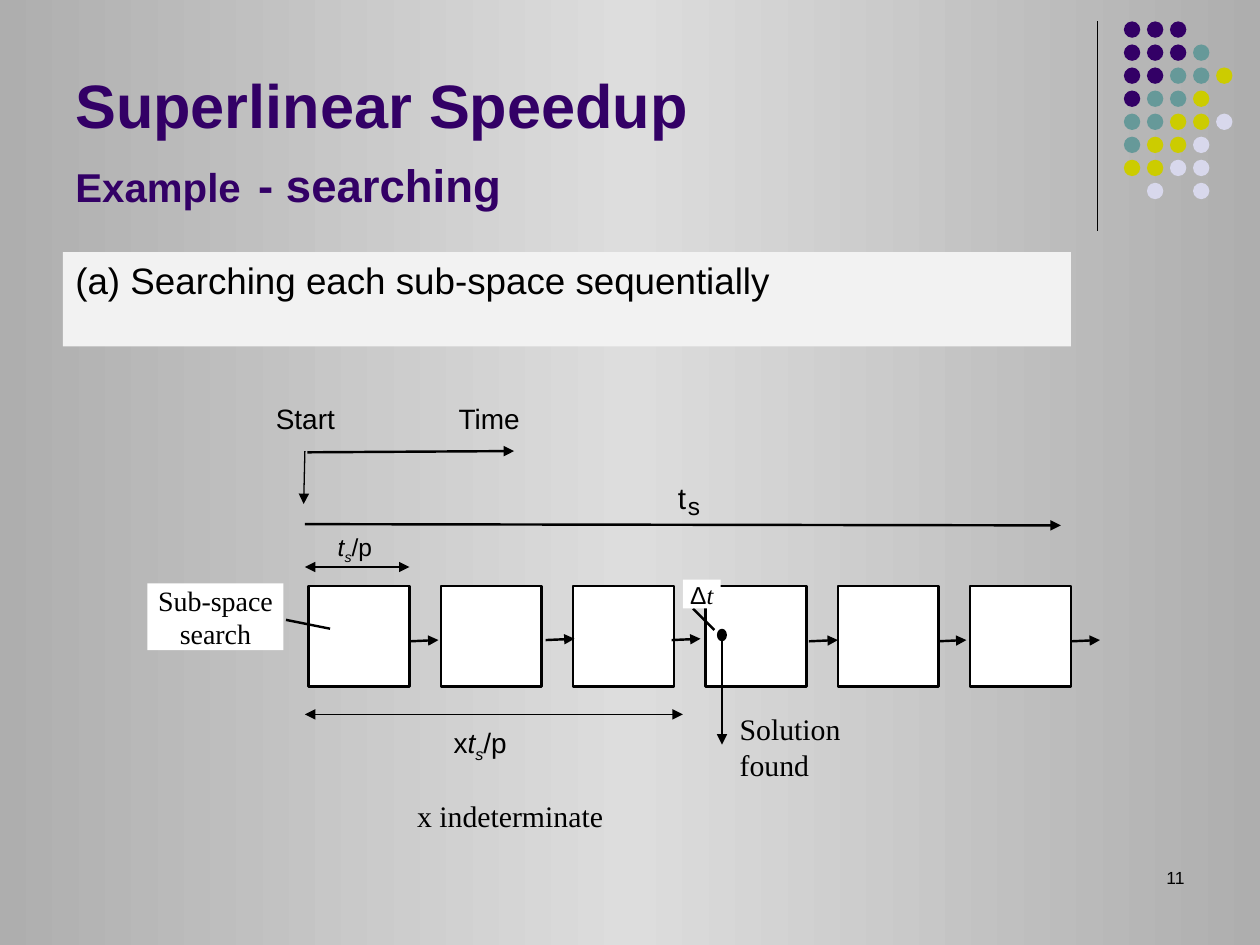
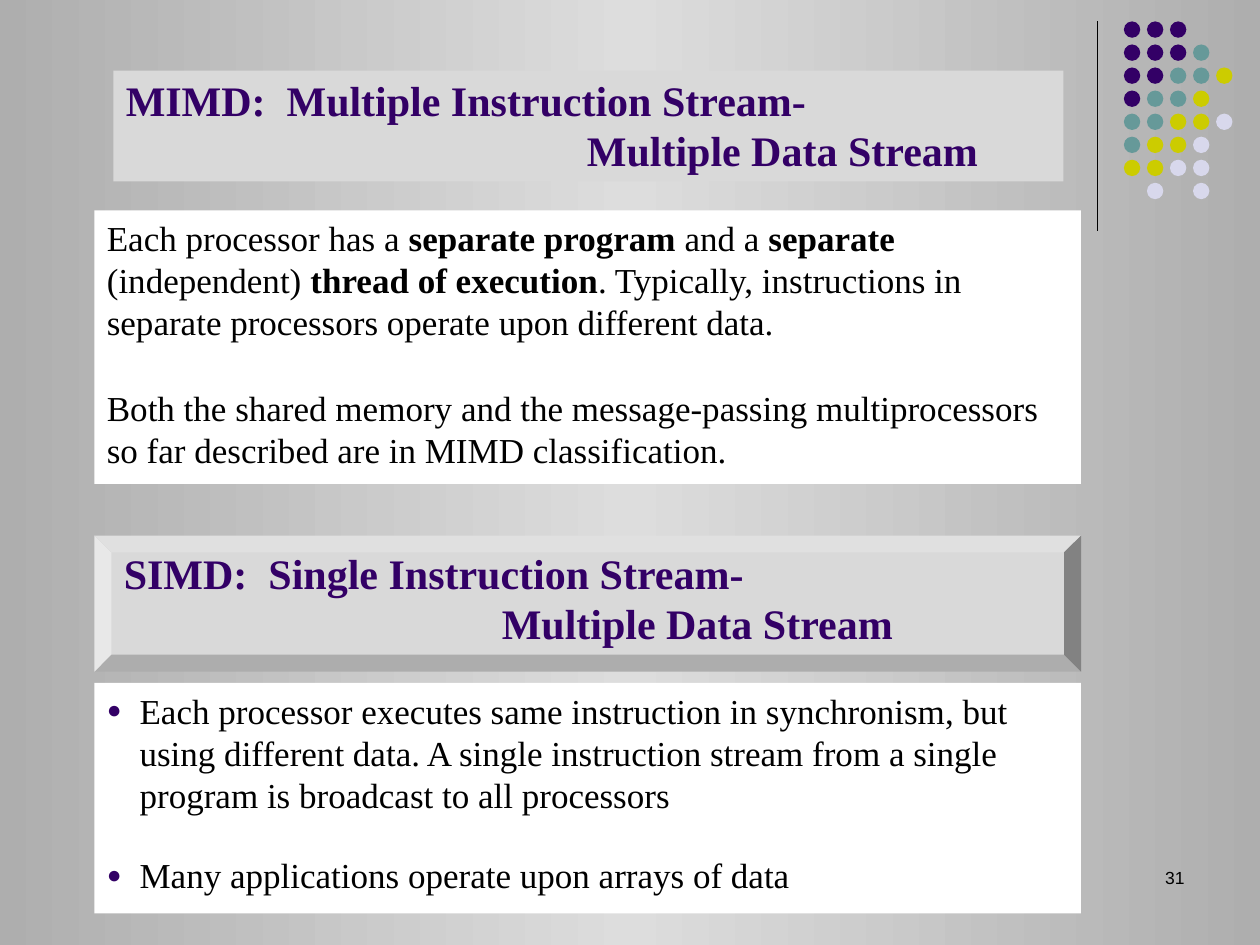
from copy import deepcopy

from lxml import etree
from pptx import Presentation
from pptx.dml.color import RGBColor
from pptx.enum import shapes, text
from pptx.oxml.ns import qn
from pptx.util import Inches, Pt

COLORS = {
    "purple": "330066", "teal": "669999", "olive": "CCCC00", "lilac": "D8D8EC",
    "black": "000000", "white": "FFFFFF", "pale": "F2F2F2", "panel": "D9D9D9",
    "edge": "AEAEAE", "middle": "DDDDDD",
}
SANS, SERIF = "Arial", "Times New Roman"
BOLD, ITALIC = {"bold": True}, {"italic": True}
SUBSCRIPT = {"italic": True, "baseline": "-25000"}

DOT_ROWS = ["PPP", "PPPT", "PPTTY", "PTTY", "TTYYL", "TYYL", "YYLL", " L L"]
DOT_COLORS = {"P": "purple", "T": "teal", "Y": "olive", "L": "lilac"}

# A paragraph is a list of runs; a run is (wording, font settings).
SPEEDUP_TITLE = [
    [("Superlinear Speedup", {"size": 35})],
    [("Example", {"size": 23}), (" ", {"size": 35}), ("- searching", {"size": 26})],
]
SEARCH_CASE = [[("(a) Searching each sub-space sequentially", {})]]

SUBSPACE_COUNT, SUBSPACE_LEFT, SUBSPACE_TOP = 6, 2.45, 4.65
SUBSPACE_SIZE, SUBSPACE_PITCH = 0.8, 1.05
STEP_LENGTH = 0.23
STEP_STARTS = [(3.25, 5.09), (4.33, 5.08), (5.33, 5.08),
               (6.42, 5.09), (7.44, 5.09), (8.5, 5.09)]

# start, end, width in points, arrowheads
TIME_LINES = [
    ((2.42, 4.16), (8.42, 4.17), 1.39, ["tailEnd"]),
    ((2.44, 3.59), (4.08, 3.58), 1.39, ["tailEnd"]),
    ((2.42, 3.58), (2.41, 4.0), 0.75, ["tailEnd"]),
    ((5.73, 5.03), (5.73, 5.91), 1.39, ["tailEnd"]),
    ((2.42, 5.67), (5.42, 5.67), 1, ["headEnd", "tailEnd"]),
    ((2.42, 4.5), (3.25, 4.5), 1, ["headEnd", "tailEnd"]),
    ((2.27, 4.92), (2.62, 4.99), 1.39, []),
    ((5.5, 4.83), (5.67, 5.0), 1.39, []),
]

# place, runs, size, font
LABELS = [
    ((5.38, 3.81, 0.07, 0.28), [("t", {})], 17, SANS),
    ((5.46, 3.9, 0.1, 0.23), [("s", {})], 14, SANS),
    ((2.19, 3.19, 0.47, 0.27), [("Start", {})], 16, SANS),
    ((3.64, 3.19, 0.49, 0.27), [("Time", {})], 16, SANS),
    ((5.87, 5.64, 1.41, 0.28), [("Solution found", {})], 17, SERIF),
    ((3.31, 6.33, 1.48, 0.28), [("x indeterminate", {})], 17, SERIF),
    ((3.6, 5.76, 0.55, 0.31),
     [("x", {}), ("t", ITALIC), ("s", SUBSCRIPT), ("/p", {})], 16, SANS),
    ((2.68, 4.22, 0.38, 0.27),
     [("t", ITALIC), ("s", SUBSCRIPT), ("/p", {})], 14, SANS),
]
TAGS = [
    ((1.17, 4.63, 1.08, 0.53), [[("Sub-space", {})], [("search", {})]], 16, SERIF),
    ((5.42, 4.6, 0.3, 0.23), [[("Δ", {"name": SANS}), ("t", ITALIC)]], 14, SERIF),
]

# place, preset, heading lines, indent of the second line
STREAM_HEADINGS = [
    ((0.9, 0.56, 7.54, 0.88), "RECTANGLE",
     ["MIMD:  Multiple Instruction Stream-", "Multiple Data Stream"], 3.66),
    ((0.75, 4.25, 7.83, 1.08), "BEVEL",
     ["SIMD:  Single Instruction Stream-", "Multiple Data Stream"], 3.0),
]
# place, paragraphs, space before the second paragraph, bulleted
STREAM_BODIES = [
    ((0.75, 1.67, 7.83, 2.17), [
        [("Each processor has a ", {}), ("separate program ", BOLD), ("and a ", {}),
         ("separate", BOLD), (" (independent) ", {}), ("thread of execution", BOLD),
         (". Typically, instructions in separate processors operate upon "
          "different data.", {})],
        [("Both the shared memory and the message-passing multiprocessors so far "
          "described are in MIMD classification.", {})],
    ], 25, False),
    ((0.75, 5.42, 7.83, 1.83), [
        [("Each processor executes same instruction in synchronism, but using "
          "different data. A single instruction stream from a single program is "
          "broadcast to all processors", {})],
        [("Many applications operate upon arrays of data", {})],
    ], 22, True),
]


def rgb(name):
    return RGBColor.from_string(COLORS[name])


def add_xml(parent, tag, **attributes):
    return etree.SubElement(parent, qn(tag), **attributes)


def add_block(page, place, fill, preset="RECTANGLE", line_width=None):
    block = page.shapes.add_shape(getattr(shapes.MSO_SHAPE, preset), *map(Inches, place))
    block.shadow.inherit = False
    block.fill.solid()
    block.fill.fore_color.rgb = rgb(fill)
    if line_width:
        block.line.color.rgb = rgb("black")
        block.line.width = Pt(line_width)
    else:
        block.line.fill.background()
    return block


def add_line(page, start, end, width, heads=()):
    line = page.shapes.add_connector(
        shapes.MSO_CONNECTOR.STRAIGHT, *map(Inches, (*start, *end)))
    line.line.color.rgb = rgb("black")
    line.line.width = Pt(width)
    for head in heads:
        add_xml(line.line._get_or_add_ln(), f"a:{head}", type="triangle")
    add_xml(line._element.spPr, "a:effectLst")


def write(box, paragraphs, size, font=SANS, color="black", bold=False,
          align="LEFT", anchor="TOP", wrap=True, inset=True):
    """Fill a box with paragraphs of runs and return the paragraphs."""
    frame = box.text_frame
    frame.word_wrap = wrap
    frame.vertical_anchor = getattr(text.MSO_ANCHOR, anchor)
    if not inset:
        frame.margin_left = frame.margin_right = 0
        frame.margin_top = frame.margin_bottom = 0
    for number, runs in enumerate(paragraphs):
        para = frame.add_paragraph() if number else frame.paragraphs[0]
        para.alignment = getattr(text.PP_ALIGN, align)
        para.font.name, para.font.size, para.font.bold = font, Pt(size), bold
        para.font.color.rgb = rgb(color)
        for wording, settings in runs:
            span = para.add_run()
            span.text = wording
            for key, value in settings.items():
                if key == "baseline":
                    span._r.get_or_add_rPr().set(key, value)
                else:
                    setattr(span.font, key, Pt(value) if key == "size" else value)
    return frame.paragraphs


def add_text(page, place, paragraphs, size, **style):
    box = page.shapes.add_textbox(*map(Inches, place))
    return write(box, paragraphs, size, **style)


def set_indent(para, left, first=0):
    properties = para._p.get_or_add_pPr()
    properties.set("marL", str(Inches(left)))
    properties.set("indent", str(Inches(first)))
    return properties


def add_bullet(para):
    properties = set_indent(para, 0.26, -0.26)
    add_xml(add_xml(properties, "a:buClr"), "a:srgbClr", val=COLORS["purple"])
    add_xml(properties, "a:buSzPct", val="70000")
    add_xml(properties, "a:buFont", typeface=SANS)
    add_xml(properties, "a:buChar", char="●")


def paint_background(page):
    fill = page.background.fill
    fill.gradient()
    fill.gradient_angle = 0
    for stop in fill.gradient_stops:
        stop.color.rgb = rgb("edge")
    stops = page._element.find(f".//{qn('a:gsLst')}")
    middle = deepcopy(stops[0])
    middle.set("pos", "50000")
    middle[0].set("val", COLORS["middle"])
    stops.insert(1, middle)


def add_page(deck, number):
    """Add a slide with the shared background, dot ornament and number."""
    page = deck.slides.add_slide(deck.slide_layouts[6])
    paint_background(page)
    add_line(page, (8.71, 0.17), (8.71, 1.83), 0.75)
    for row, dots in enumerate(DOT_ROWS):
        for column, dot in enumerate(dots):
            if dot in DOT_COLORS:
                place = (8.92 + 0.183 * column, 0.17 + 0.183 * row, 0.13, 0.13)
                add_block(page, place, DOT_COLORS[dot], "OVAL")
    add_text(page, (7.17, 6.83, 2.33, 0.5), [[(number, {})]], 10, align="RIGHT")
    return page


def build_speedup(deck):
    page = add_page(deck, "11")
    add_text(page, (0.5, 0.5, 6.67, 1.25), SPEEDUP_TITLE, 35,
             color="purple", bold=True, anchor="BOTTOM")
    case = add_block(page, (0.5, 2, 8, 0.75), "pale")
    write(case, SEARCH_CASE, 21)[0].space_before = Pt(5.2)

    for index in range(SUBSPACE_COUNT):
        left = SUBSPACE_LEFT + SUBSPACE_PITCH * index
        add_block(page, (left, SUBSPACE_TOP, SUBSPACE_SIZE, SUBSPACE_SIZE),
                  "white", line_width=1.39)
    for left, top in STEP_STARTS:
        add_line(page, (left, top), (left + STEP_LENGTH, top - 0.01), 1.39, ["tailEnd"])
    for line in TIME_LINES:
        add_line(page, *line)
    add_block(page, (5.7, 5, 0.06, 0.08), "black", "OVAL", 1.39)

    for place, runs, size, font in LABELS:
        add_text(page, place, [runs], size, font=font, wrap=False, inset=False)
    for place, paragraphs, size, font in TAGS:
        write(add_block(page, place, "white"), paragraphs, size, font,
              align="CENTER", inset=False)


def build_streams(deck):
    page = add_page(deck, "31")
    for place, preset, lines, indent in STREAM_HEADINGS:
        heading = add_block(page, place, "panel", preset)
        paras = write(heading, [[(line, {})] for line in lines], 24, SERIF,
                      "purple", bold=True, anchor="BOTTOM")
        set_indent(paras[1], indent)
    for place, paragraphs, gap, bulleted in STREAM_BODIES:
        paras = write(add_block(page, place, "white"), paragraphs, 20, SERIF)
        for para, space in zip(paras, (5, gap)):
            para.space_before = Pt(space)
            if bulleted:
                add_bullet(para)


def main():
    deck = Presentation()
    deck.slide_width, deck.slide_height = Inches(10), Inches(7.5)
    build_speedup(deck)
    build_streams(deck)
    deck.save("out.pptx")


if __name__ == "__main__":
    main()
